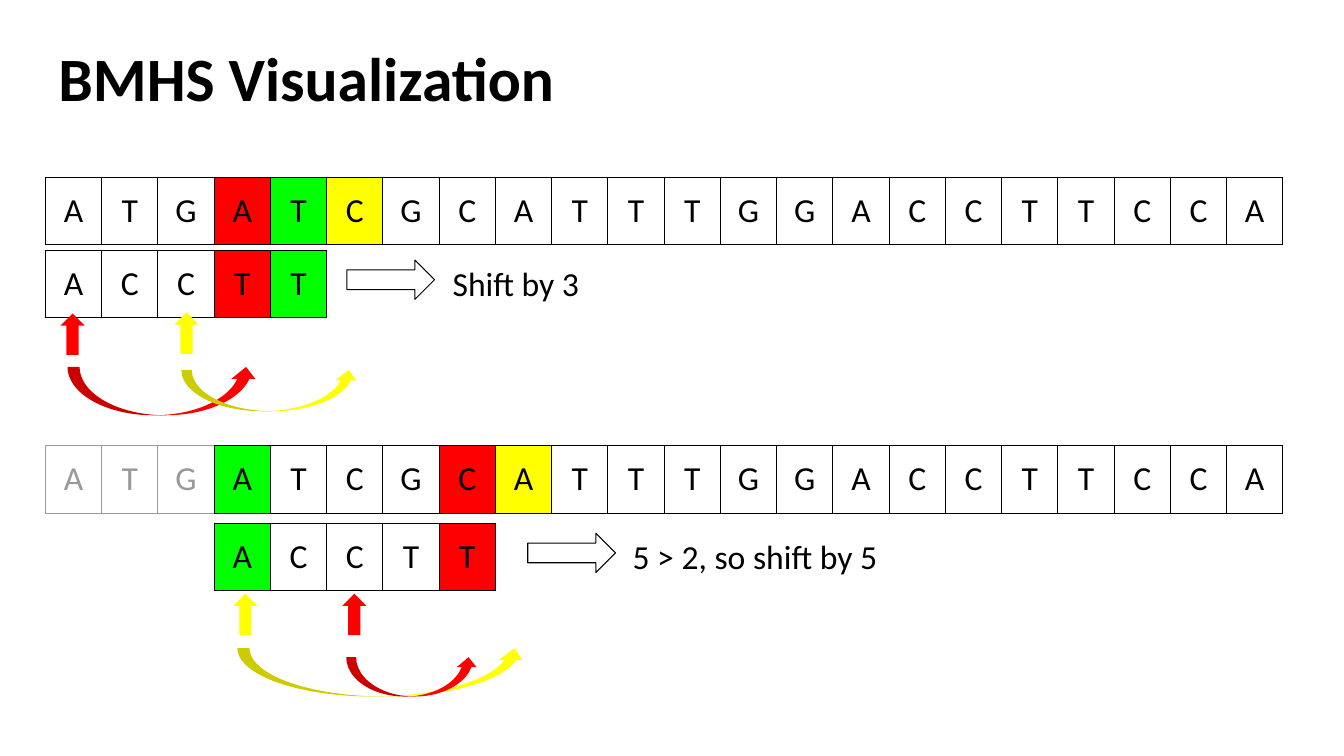
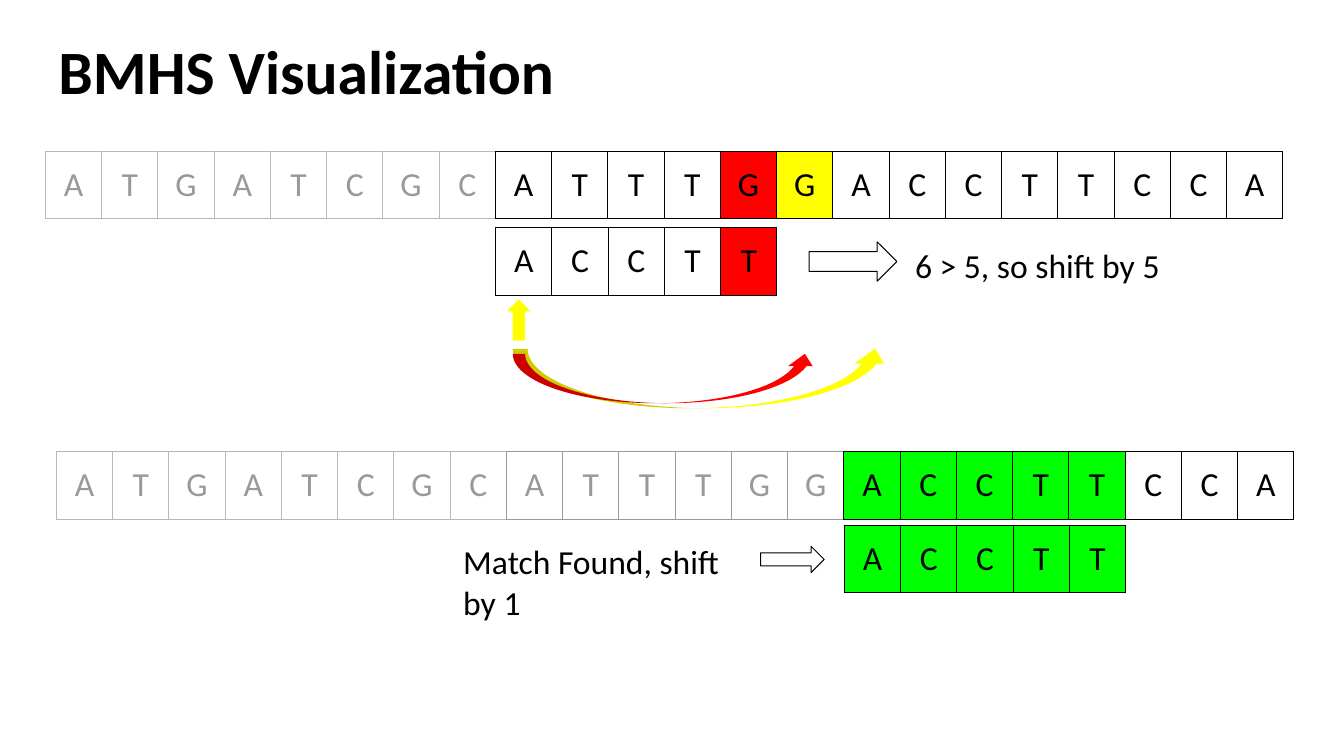
from lxml import etree
from pptx import Presentation
from pptx.dml.color import RGBColor
from pptx.enum.shapes import MSO_SHAPE
from pptx.enum.text import MSO_ANCHOR, MSO_AUTO_SIZE, PP_ALIGN
from pptx.oxml.ns import qn
from pptx.util import Inches, Pt

CENTER, LEFT = PP_ALIGN.CENTER, PP_ALIGN.LEFT
TOP, MIDDLE = MSO_ANCHOR.TOP, MSO_ANCHOR.MIDDLE
NO_AUTOSIZE = MSO_AUTO_SIZE.NONE
UP, RIGHT, CURVED = MSO_SHAPE.UP_ARROW, MSO_SHAPE.RIGHT_ARROW, MSO_SHAPE.CURVED_UP_ARROW

COLORS = {
    "ink": "000000",
    "faded": "999999",
    "light": "B7B7B7",
    "red": "FF0000",
    "green": "00FF00",
    "yellow": "FFFF00",
}
FONT = "Calibri"
TITLE_ONLY = 5
INSET = Inches(0.13)
TEXT = "ATGATCGCATTTGGACCTTCCA"
PATTERN = "ACCTT"
CELL_W = 12.28 / len(TEXT)
CELL_H = 0.67

# One mark per cell: its fill, or its border when the cell is already passed
FILLS = {"R": "red", "G": "green", "Y": "yellow"}
PASSED = {"f": "faded", "l": "light"}


def rgb(name):
    return RGBColor.from_string(COLORS[name])


def format_text(tf, size, color="ink", bold=False, align=LEFT):
    for p in tf.paragraphs:
        p.alignment = align
        for r in p.runs:
            r.font.name, r.font.size, r.font.bold = FONT, Pt(size), bold
            r.font.color.rgb = rgb(color)


def set_frame(tf):
    tf.word_wrap = True
    tf.auto_size = NO_AUTOSIZE
    tf.vertical_anchor = TOP
    tf.margin_left = tf.margin_right = tf.margin_top = tf.margin_bottom = INSET


def add_title(s, text, y):
    sp = s.shapes.title
    sp.left, sp.top, sp.width, sp.height = (Inches(v) for v in (0.45, y, 12.42, 0.84))
    tf = sp.text_frame
    tf.text = text
    set_frame(tf)
    tf.paragraphs[0].line_spacing = 0.9
    format_text(tf, 44, bold=True)


def add_note(s, text, x, y, w, h):
    tf = s.shapes.add_textbox(*(Inches(v) for v in (x, y, w, h))).text_frame
    tf.text = text
    set_frame(tf)
    format_text(tf, 24)


def add_arrow(s, kind, x, y, w, h, fill=None):
    """Add a filled arrow, or an outlined one when no fill is given."""
    sp = s.shapes.add_shape(kind, *(Inches(v) for v in (x, y, w, h)))
    sp.shadow.inherit = False
    if fill:
        sp.fill.solid()
        sp.fill.fore_color.rgb = rgb(fill)
        sp.line.fill.background()
    else:
        sp.fill.background()
        sp.line.color.rgb = rgb("ink")
        sp.line.width = Pt(0.75)


def set_borders(cell, color, right):
    tcPr = cell._tc.get_or_add_tcPr()
    sides = {"lnL": color, "lnR": right, "lnT": color, "lnB": color}
    for i, (side, name) in enumerate(sides.items()):
        ln = etree.Element(qn(f"a:{side}"), w=str(Pt(0.75)))
        fill = etree.SubElement(ln, qn("a:solidFill"))
        etree.SubElement(fill, qn("a:srgbClr"), val=COLORS[name])
        tcPr.insert(i, ln)


def add_strip(s, letters, marks, x, y):
    """Add a one-row table with one letter in each cell."""
    n = len(letters)
    marks = marks.ljust(n, "-")
    borders = [PASSED.get(m, "ink") for m in marks]
    table = s.shapes.add_table(
        1, n, Inches(x), Inches(y), Inches(n * CELL_W), Inches(CELL_H)).table
    table.first_row = table.horz_banding = False
    table.rows[0].height = Inches(CELL_H)
    for i, (letter, mark) in enumerate(zip(letters, marks)):
        table.columns[i].width = Inches(CELL_W)
        cell = table.cell(0, i)
        cell.text = letter
        cell.vertical_anchor = MIDDLE
        cell.margin_left = cell.margin_right = INSET
        cell.margin_top = cell.margin_bottom = INSET
        format_text(cell.text_frame, 24, "faded" if mark in PASSED else "ink", align=CENTER)
        if mark in FILLS:
            cell.fill.solid()
            cell.fill.fore_color.rgb = rgb(FILLS[mark])
        else:
            cell.fill.background()
        set_borders(cell, borders[i], borders[min(i + 1, n - 1)])


def add_step(s, x, y, shift, gap, marks, pattern_marks, arrow, note, markers=(), hops=()):
    """Draw one alignment; arrows and note are placed from the pattern's corner."""
    px, py = x + shift * CELL_W, y + gap
    add_strip(s, TEXT, marks, x, y)
    add_strip(s, PATTERN, pattern_marks, px, py)
    for color, dx, dy in markers:
        add_arrow(s, UP, px + dx, py + dy, 0.24, 0.41, color)
    dx, dy, w, h = arrow
    add_arrow(s, RIGHT, px + dx, py + dy, w, h)
    text, dx, dy, w, h = note
    add_note(s, text, px + dx, py + dy, w, h)
    for color, dx, dy, w, h in hops:
        add_arrow(s, CURVED, px + dx, py + dy, w, h, color)


SLIDES = [
    (0.35, [
        dict(x=0.45, y=1.76, shift=0, gap=0.72, marks="---RGY", pattern_marks="---RG",
             arrow=(2.99, 0.1, 0.87, 0.39), note=("Shift by 3", 3.91, 0, 1.94, 0.39),
             markers=[("red", 0.15, 0.63), ("yellow", 1.28, 0.62)],
             hops=[("red", 0.22, 1.16, 1.89, 0.48), ("yellow", 1.35, 1.19, 1.76, 0.41)]),
        dict(x=0.45, y=4.42, shift=3, gap=0.77, marks="fffG---RY", pattern_marks="G---R",
             arrow=(3.11, 0.1, 0.87, 0.39), note=("5 > 2, so shift by 5", 4.02, 0, 2.79, 0.39),
             markers=[("red", 1.27, 0.7), ("yellow", 0.19, 0.7)],
             hops=[("yellow", 0.23, 1.24, 2.87, 0.48), ("red", 1.31, 1.33, 1.31, 0.39)]),
    ]),
    (0.28, [
        dict(x=0.45, y=1.5, shift=8, gap=0.76, marks="l" * 8 + "----RY", pattern_marks="----R",
             arrow=(3.11, 0.14, 0.87, 0.39), note=("6 > 5, so shift by 5", 4.03, 0.04, 2.79, 0.39),
             markers=[("yellow", 0.11, 0.71)],
             hops=[("yellow", 0.17, 1.2, 3.74, 0.59), ("red", 0.17, 1.25, 3.02, 0.49)]),
        dict(x=0.56, y=4.48, shift=14, gap=0.73, marks="l" * 8 + "f" * 6 + "G" * 5,
             pattern_marks="G" * 5, arrow=(-0.83, 0.21, 0.63, 0.26),
             note=("Match Found, shift by 1", -3.91, 0.03, 3.12, 0.49)),
    ]),
]


def main():
    prs = Presentation()
    prs.slide_width, prs.slide_height = Inches(13.33), Inches(7.5)
    for title_y, steps in SLIDES:
        s = prs.slides.add_slide(prs.slide_layouts[TITLE_ONLY])
        add_title(s, "BMHS Visualization", title_y)
        for step in steps:
            add_step(s, **step)
    prs.save("out.pptx")


if __name__ == "__main__":
    main()
